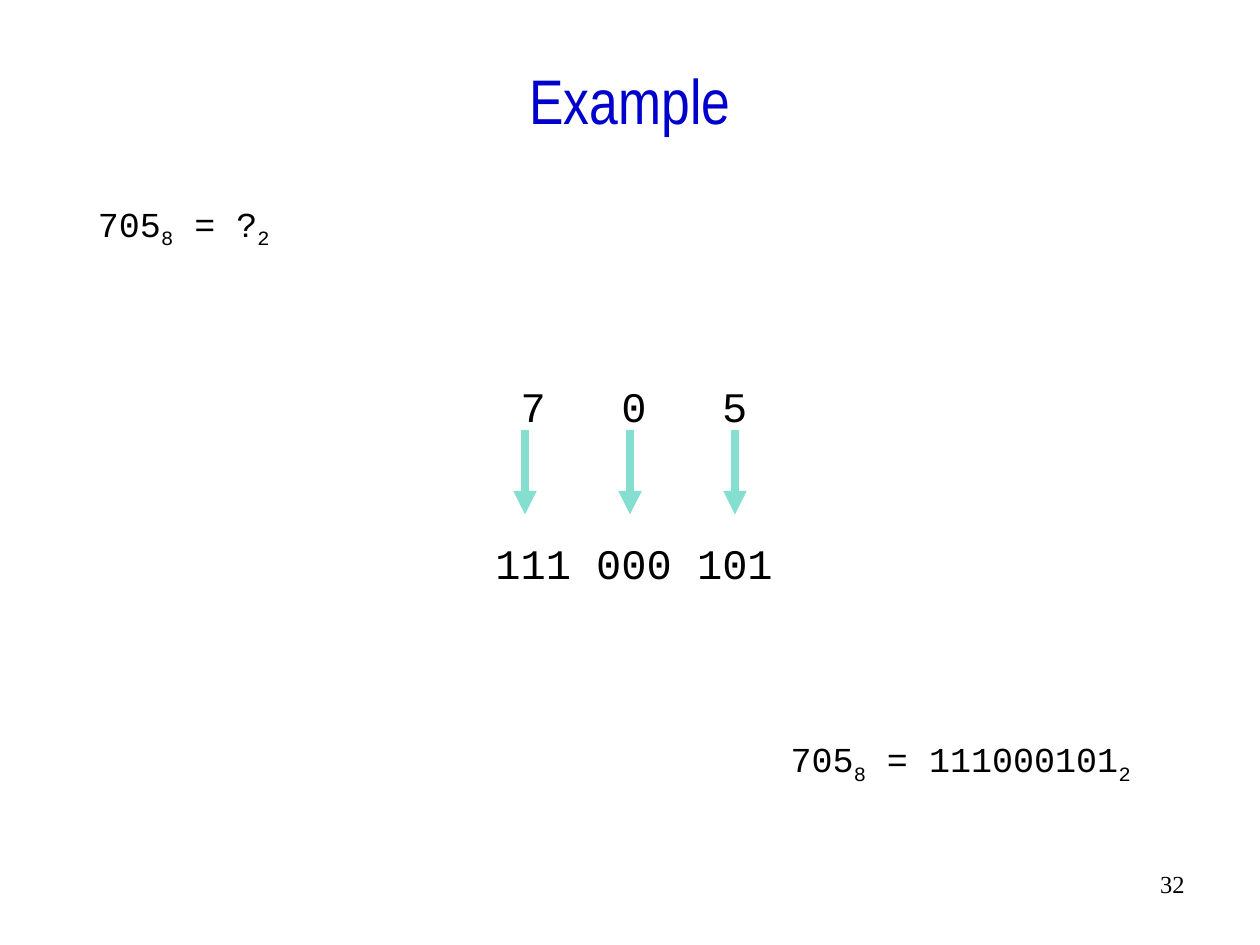
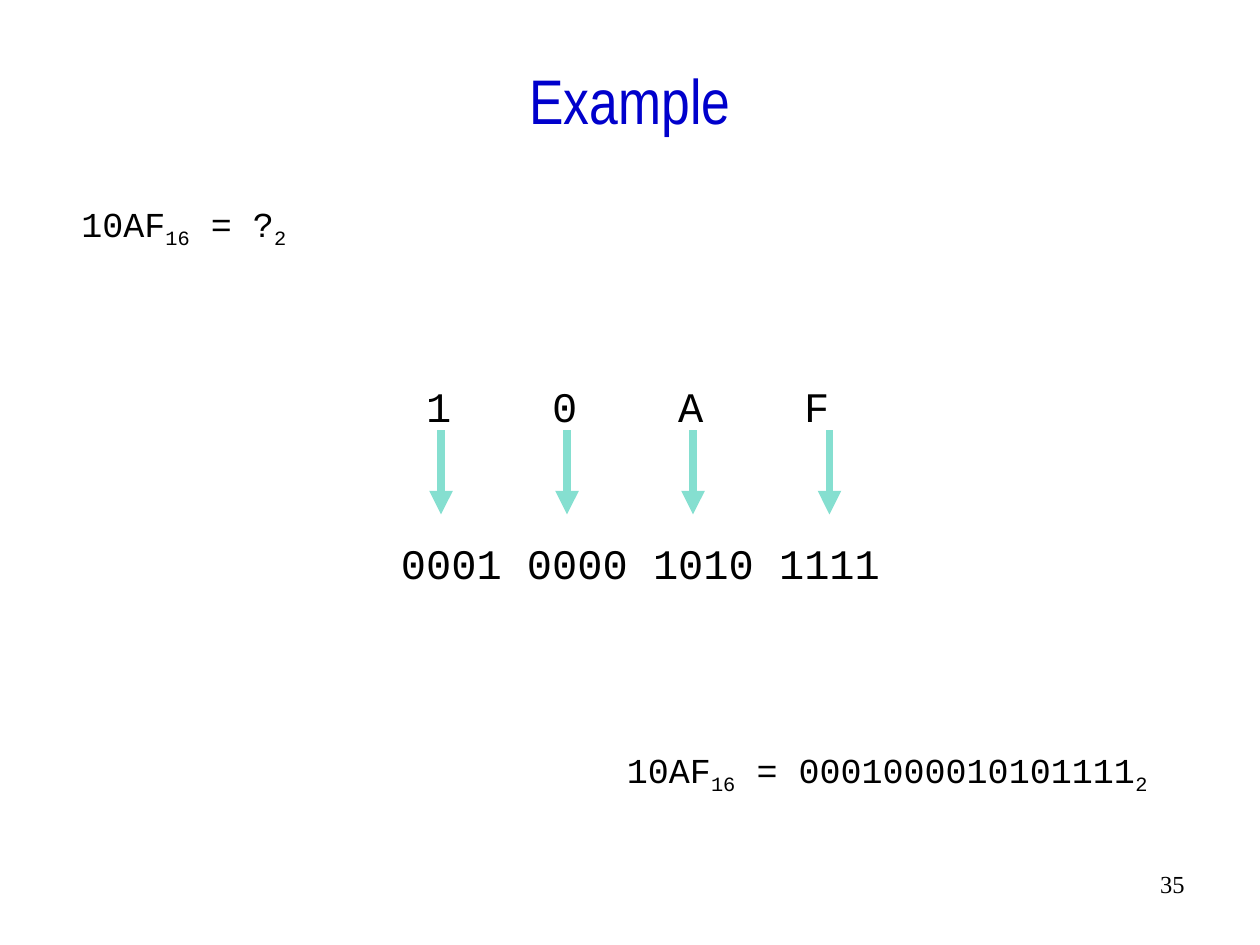
from lxml import etree
from pptx import Presentation
from pptx.dml.color import RGBColor
from pptx.enum.shapes import MSO_CONNECTOR
from pptx.enum.text import MSO_ANCHOR, PP_ALIGN
from pptx.oxml.ns import qn
from pptx.util import Pt

BLUE = RGBColor(0x00, 0x00, 0xCC)
BLACK = RGBColor(0x00, 0x00, 0x00)
MINT = RGBColor(0x85, 0xDF, 0xD0)
CENTER, RIGHT, LEFT = PP_ALIGN.CENTER, PP_ALIGN.RIGHT, PP_ALIGN.LEFT
MIDDLE = MSO_ANCHOR.MIDDLE
STRAIGHT = MSO_CONNECTOR.STRAIGHT

TITLE_FONT, CODE_FONT, NUMBER_FONT = "Arial Narrow", "Courier New", "Times New Roman"
DIGIT_SIZE = 24
CHAR_WIDTH = 0.6 * DIGIT_SIZE  # advance of the fixed-width font
ARROW_TOP, ARROW_BOTTOM = 246, 294

# Boxes are (left, top, width, height) in points.
TITLE_BOX = (12, 24, 696, 66)
QUESTION_BOX = (24, 108, 162, 34.5)
NUMBER_BOX = (534, 492, 150, 36)

EXAMPLES = [
    {"value": "705", "base": "8", "groups": ["111", "000", "101"],
     "digits_box": (276, 210, 210, 124), "arrows": [300, 360, 420],
     "answer_box": (408, 414, 282, 34.5), "number": "32"},
    {"value": "10AF", "base": "16", "groups": ["0001", "0000", "1010", "1111"],
     "digits_box": (222, 210, 300, 124), "arrows": [252, 324, 396, 474],
     "answer_box": (318, 420, 378, 34.5), "number": "35"},
]


def style(p, font, size, color, align):
    p.alignment = align
    p.font.name, p.font.size, p.font.color.rgb = font, Pt(size), color


def add_box(s, box, top_inset):
    tf = s.shapes.add_textbox(*map(Pt, box)).text_frame
    tf.word_wrap = True
    tf.margin_top = Pt(top_inset)
    return tf


def add_title(s, text):
    title = s.shapes.title
    title.left, title.top, title.width, title.height = map(Pt, TITLE_BOX)
    tf = title.text_frame
    tf.text = text
    tf.vertical_anchor = MIDDLE
    style(tf.paragraphs[0], TITLE_FONT, 36, BLUE, CENTER)


def add_equation(s, box, value, base, result):
    """Write value = result, with the base of each side as a subscript."""
    p = add_box(s, box, 7.5).paragraphs[0]
    style(p, CODE_FONT, 20, BLACK, CENTER)
    for text, subscript in ((value, base), (f" = {result}", "2")):
        p.add_run().text = text
        r = p.add_run()
        r.text = subscript
        r.font._element.set("baseline", "-25000")


def set_tabs(p, stops):
    tabs = etree.SubElement(p._p.get_or_add_pPr(), qn("a:tabLst"))
    for stop in stops:
        etree.SubElement(tabs, qn("a:tab"), pos=str(Pt(stop)), algn="l")


def add_digits(s, box, value, groups):
    """Place each digit above the second bit of its group."""
    tf = add_box(s, box, 7.5)
    digits, bits = tf.paragraphs[0], tf.add_paragraph()
    pitch = len(groups[0]) + 1
    set_tabs(digits, [CHAR_WIDTH * (1 + pitch * i) for i in range(len(value))])
    digits.text = "".join(f"\t{digit}" for digit in value)
    bits.text = " ".join(groups)
    bits.space_before = Pt(60.8)
    for p in (digits, bits):
        style(p, CODE_FONT, DIGIT_SIZE, BLACK, LEFT)


def add_arrow(s, x):
    arrow = s.shapes.add_connector(STRAIGHT, Pt(x), Pt(ARROW_TOP), Pt(x), Pt(ARROW_BOTTOM))
    arrow.line.color.rgb = MINT
    arrow.line.width = Pt(4.5)
    etree.SubElement(arrow.line._get_or_add_ln(), qn("a:tailEnd"), type="triangle")
    etree.SubElement(arrow._element.spPr, qn("a:effectLst"))


def add_number(s, number):
    p = add_box(s, NUMBER_BOX, 4.5).paragraphs[0]
    p.text = number
    style(p, NUMBER_FONT, 14, BLACK, RIGHT)


def add_example(prs, example):
    s = prs.slides.add_slide(prs.slide_layouts[5])
    value, base, groups = example["value"], example["base"], example["groups"]
    add_title(s, "Example")
    add_equation(s, QUESTION_BOX, value, base, "?")
    add_digits(s, example["digits_box"], value, groups)
    for x in example["arrows"]:
        add_arrow(s, x)
    add_equation(s, example["answer_box"], value, base, "".join(groups))
    add_number(s, example["number"])


def main():
    prs = Presentation()
    prs.slide_width, prs.slide_height = Pt(720), Pt(540)
    for example in EXAMPLES:
        add_example(prs, example)
    prs.save("out.pptx")


if __name__ == "__main__":
    main()
